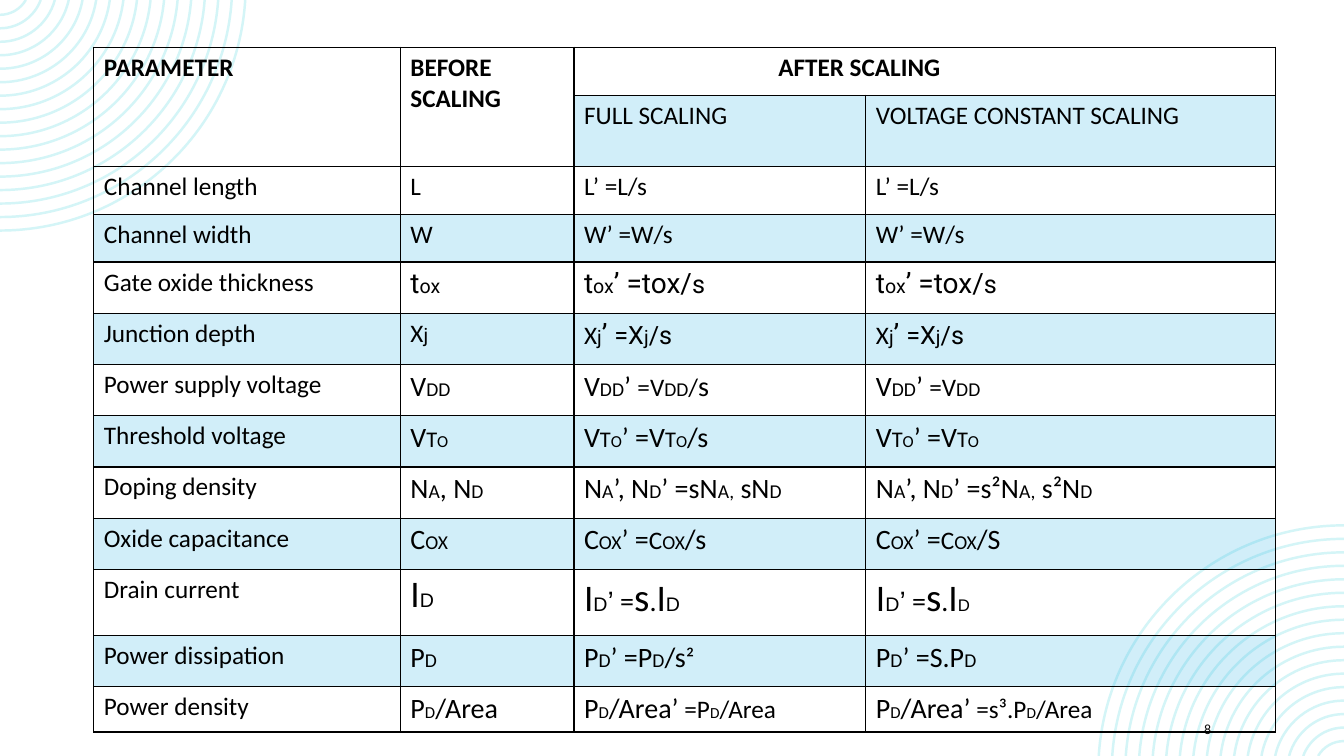
import itertools
import math

import lxml.etree
import pptx
import pptx.dml.color
import pptx.enum.text
import pptx.oxml.ns
import pptx.util

Pt = pptx.util.Pt
qn = pptx.oxml.ns.qn

SLIDE_W, SLIDE_H = 960, 540
RING_COLOR, SHADE, BLACK = "D4F5F7", "1CADE4", "000000"
COLUMN_WIDTHS = [219, 124, 208.5, 292.5]
ROW_HEIGHTS = [34.2, 51.2, 34, 34] + [36.6] * 6 + [47.3, 36.6, 32.3]

# A run is (text, size) in Calibri, or (text, size, font).
V_DD = [("V", 20), ("DD", 14)]
V_DD_SMALL = [("V", 18), ("DD", 14)]
V_TO = [("V", 20), ("T", 16), ("O", 12)]
N_A, N_D = [("N", 20), ("A", 14)], [("N", 20), ("D", 14)]
N_SCALED = N_A + [("’, ", 20)] + N_D
C_OX, C_OX_SMALL = [("C", 20), ("OX", 14)], [("C", 18), ("OX", 14)]
I_D = [("I", 24, "Lato"), ("D", 14, "Arial")]
I_D_SCALED = I_D + [("’", 20, "Arial"), (" =", 20), ("s", 28), (".", 20)]
P_D = [("P", 20), ("D", 14)]
P_AREA = [("P", 20), ("D", 12), ("/Area", 20)]
T_OX = [("t", 20, "Roboto"), ("ox", 14, "Roboto")]
T_OX_SCALED = T_OX + [("’ =tox/", 20, "Roboto"), ("s", 18, "Roboto")]
X_J = [("X", 18), ("j", 14, "Roboto")]
X_J_SCALED = X_J + [("’ ", 20, "Roboto"), ("=X", 18, "Roboto"),
                    ("j", 14, "Roboto"), ("/s", 18, "Roboto")]
PRIME_EQ = [("’ =", 20)]
PRIME_SMALL_EQ = [("’ ", 20), ("=", 18)]


def density_of(scale):
    return P_AREA + [("’", 20), (f" ={scale}P", 18), ("D", 11), ("/Area", 18)]


def doping_of(scale):
    return (N_SCALED + [(f"’ ={scale}N", 20), ("A,", 14),
                        (f" {scale}N", 20), ("D", 14)])


ROWS = [
    ["PARAMETER", "BEFORE SCALING", "AFTER SCALING", ""],
    ["", "", "FULL SCALING", "VOLTAGE CONSTANT SCALING"],
    ["Channel length", "L", "L’ =L/s", "L’ =L/s"],
    ["Channel width", "W", "W’ =W/s", "W’ =W/s"],
    ["Gate oxide thickness", T_OX, T_OX_SCALED, T_OX_SCALED],
    ["Junction depth", X_J, X_J_SCALED, X_J_SCALED],
    ["Power supply voltage", V_DD,
     V_DD + PRIME_SMALL_EQ + V_DD_SMALL + [("/", 18), ("s", 20)],
     V_DD + PRIME_SMALL_EQ + V_DD_SMALL],
    ["Threshold voltage", V_TO,
     V_TO + PRIME_EQ + V_TO + [("/s", 20)], V_TO + PRIME_EQ + V_TO],
    ["Doping density", N_A + [(", ", 20)] + N_D, doping_of("s"), doping_of("s²")],
    ["Oxide capacitance", C_OX,
     C_OX + PRIME_EQ + C_OX_SMALL + [("/s", 20)],
     C_OX + PRIME_EQ + C_OX_SMALL + [("/S", 20)]],
    ["Drain current", I_D, I_D_SCALED + I_D,
     I_D_SCALED + [("I", 24, "Lato"), ("D", 12, "Arial")]],
    ["Power dissipation", P_D,
     P_D + PRIME_EQ + P_D + [("/s", 20), ("²", 18)],
     P_D + [("’ =S.", 20)] + P_D],
    ["Power density", P_AREA, density_of(""), density_of("s³.")],
]


def rgb(color):
    return pptx.dml.color.RGBColor.from_string(color)


def add_run(p, text, size, font="Calibri", color=BLACK, bold=False):
    r = p.add_run()
    r.text = text
    r.font.size = Pt(size)
    r.font.name = font
    r.font.bold = bold
    r.font.color.rgb = rgb(color)


def add_corner_rings(s, corner_x, corner_y, direction):
    """Draw concentric arcs spreading from a corner; direction is 1 or -1."""
    center_y, outer, pitch, units = -10.8, 175.5, 9.63, 100
    radii = [outer - ring * pitch for ring in range(17)]
    starts = [math.asin(-center_y / radius) for radius in radii]
    builder = s.shapes.build_freeform(scale=Pt(1) / units)
    for radius, start in zip(radii, starts):
        builder.move_to((corner_x + direction * radius * math.cos(start)) * units,
                        corner_y * units)
        bottom = corner_y + direction * (center_y + radius)
        builder.add_line_segments([(corner_x * units, bottom * units)], close=False)
    sp = builder.convert_to_shape()
    sp.shadow.inherit = False
    sp.fill.background()
    sp.line.color.rgb = rgb(RING_COLOR)
    sp.line.width = Pt(1.75)

    # Bend each chord into a circular arc.
    chords = [line for line in sp._element.iter(qn("a:lnTo"))]
    for line, radius, start in zip(chords, radii, starts):
        x0, y0 = (int(line.getprevious()[0].get(k)) for k in "xy")
        x1, y1 = (int(line[0].get(k)) for k in "xy")
        reach = 4 / 3 * math.tan((math.pi / 2 - start) / 4)
        reach *= direction * radius * units
        curve = lxml.etree.Element(qn("a:cubicBezTo"))
        for x, y in ((x0 - reach * math.sin(start), y0 + reach * math.cos(start)),
                     (x1 + reach, y1), (x1, y1)):
            lxml.etree.SubElement(curve, qn("a:pt"), x=str(round(x)), y=str(round(y)))
        line.getparent().replace(line, curve)


def add_slide_number(s, left, top, width, height):
    tf = s.shapes.add_textbox(Pt(left), Pt(top), Pt(width), Pt(height)).text_frame
    tf.word_wrap = True
    tf.vertical_anchor = pptx.enum.text.MSO_ANCHOR.MIDDLE
    add_run(tf.paragraphs[0], "8", 10, color="0D0D0D")


def format_cell(cell, shaded):
    """Give the cell a translucent or empty fill and thin black borders."""
    tc_pr = cell._tc.get_or_add_tcPr()
    if shaded:
        cell.fill.solid()
        cell.fill.fore_color.rgb = rgb(SHADE)
        color = tc_pr.find(".//" + qn("a:srgbClr"))
        lxml.etree.SubElement(color, qn("a:alpha"), val="20000")
    else:
        cell.fill.background()
    for i, side in enumerate(("a:lnL", "a:lnR", "a:lnT", "a:lnB")):
        ln = lxml.etree.Element(qn(side), w=str(Pt(1)))
        fill = lxml.etree.SubElement(ln, qn("a:solidFill"))
        lxml.etree.SubElement(fill, qn("a:srgbClr"), val=BLACK)
        tc_pr.insert(i, ln)


def fill_cell(cell, content, bold):
    """Write the content, joining neighbouring runs of one format."""
    if not content:
        return
    runs = [(content, 18)] if isinstance(content, str) else content
    for style, group in itertools.groupby(runs, key=lambda run: run[1:]):
        text = "".join(run[0] for run in group)
        add_run(cell.text_frame.paragraphs[0], text, *style, bold=bold)


def add_scaling_table(s, left, top):
    frame = s.shapes.add_table(len(ROWS), len(COLUMN_WIDTHS), Pt(left), Pt(top),
                               Pt(sum(COLUMN_WIDTHS)), Pt(sum(ROW_HEIGHTS)))
    table = frame.table
    table.first_row = table.horz_banding = False
    for column, width in zip(table.columns, COLUMN_WIDTHS):
        column.width = Pt(width)
    for row, height in zip(table.rows, ROW_HEIGHTS):
        row.height = Pt(height)
    for i, row in enumerate(ROWS):
        for j, content in enumerate(row):
            cell = table.cell(i, j)
            format_cell(cell, i % 2 == 1 and (i > 1 or j > 1))
            fill_cell(cell, content, bold=i == 0)
    table.cell(0, 0).merge(table.cell(1, 0))
    table.cell(0, 1).merge(table.cell(1, 1))
    table.cell(0, 2).merge(table.cell(0, 3))
    table.cell(0, 2).margin_left = Pt(146)


def main():
    prs = pptx.Presentation()
    prs.slide_width, prs.slide_height = Pt(SLIDE_W), Pt(SLIDE_H)
    s = prs.slides.add_slide(prs.slide_layouts[6])
    add_corner_rings(s, 0, 0, 1)
    add_corner_rings(s, SLIDE_W, SLIDE_H, -1)
    add_slide_number(s, 853, 510, 76, 21.6)
    add_scaling_table(s, 67, 33.8)
    prs.save("out.pptx")


if __name__ == "__main__":
    main()
